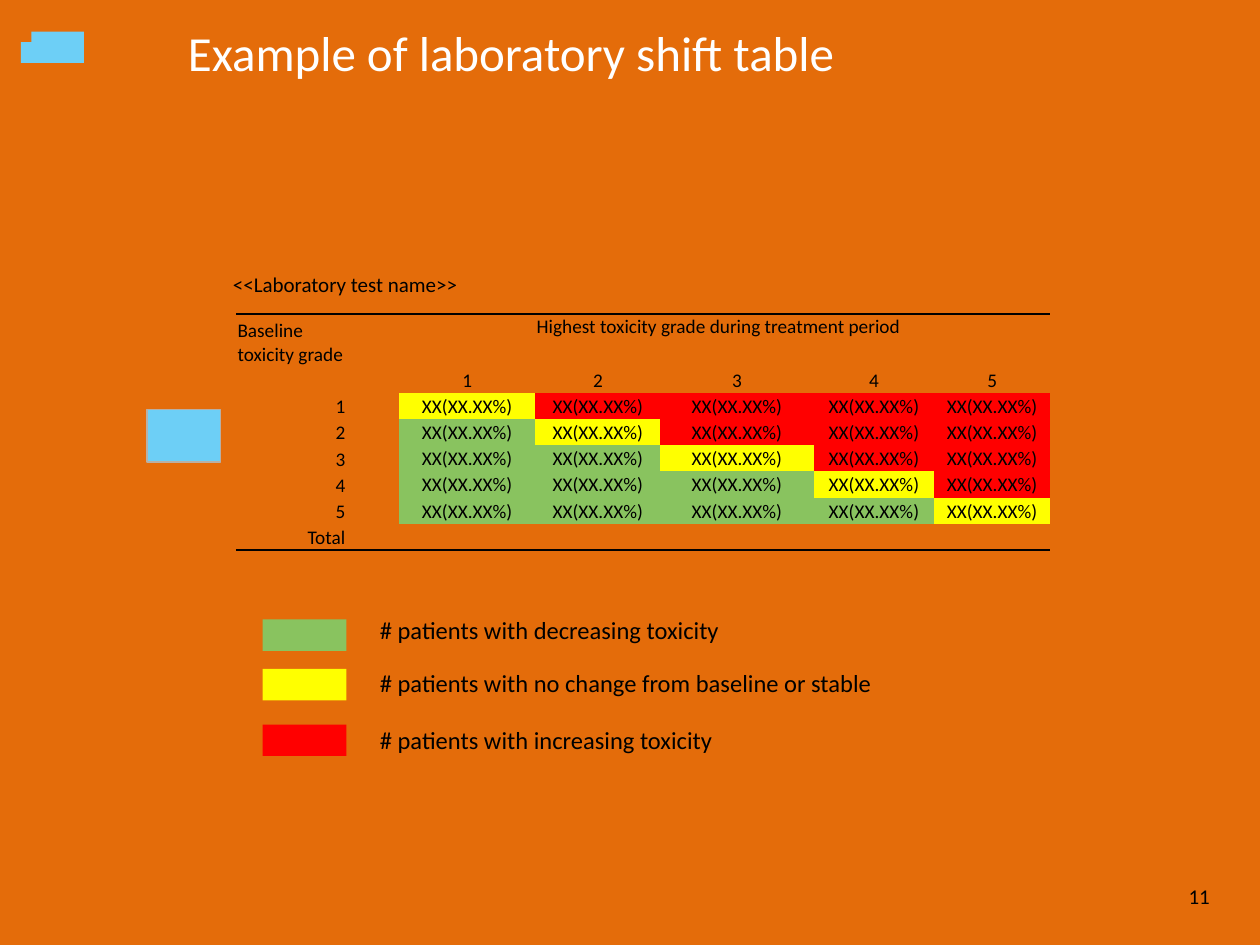
"""Build the laboratory shift table slide."""
import dataclasses

import pptx
import pptx.dml.color
import pptx.enum.shapes
import pptx.enum.text
import pptx.oxml
import pptx.oxml.ns
import pptx.util

ALIGN = pptx.enum.text.PP_ALIGN
ANCHOR = pptx.enum.text.MSO_ANCHOR
AUTO_SIZE = pptx.enum.text.MSO_AUTO_SIZE
NO_STYLE_NO_GRID = "{2D5ABB26-0587-4C30-8999-92F81FD0307C}"


@dataclasses.dataclass(frozen=True)
class Theme:
    font: str = "Calibri"
    background: str = "E46C0A"
    accent: str = "6DCFF6"
    outline: str = "B9AFA4"
    text: str = "000000"
    title: str = "FFFFFF"
    decreasing: str = "89C35F"
    stable: str = "FFFF00"
    increasing: str = "FF0000"
    title_size: int = 28
    legend_size: int = 14
    label_size: int = 12
    table_size: int = 11


def grid(units):
    """Convert grid units, twelve to the inch, to a length."""
    return pptx.util.Inches(units / 12)


def color(value):
    return pptx.dml.color.RGBColor.from_string(value)


class SlideBuilder:
    """Hold the theme and the current slide, and draw elements on it."""

    def __init__(self, presentation, theme):
        self.theme = theme
        self.slide = presentation.slides.add_slide(presentation.slide_layouts[5])
        fill = self.slide.background.fill
        fill.solid()
        fill.fore_color.rgb = color(theme.background)

    def add_run(self, paragraph, text, size, text_color=None, align=ALIGN.LEFT):
        paragraph.alignment = align
        run = paragraph.add_run()
        run.text = text
        run.font.name = self.theme.font
        run.font.size = pptx.util.Pt(size)
        run.font.color.rgb = color(text_color or self.theme.text)

    def title(self, text, box):
        title = self.slide.shapes.title
        title.left, title.top, title.width, title.height = map(grid, box)
        frame = title.text_frame
        frame.auto_size = AUTO_SIZE.NONE
        frame.vertical_anchor = ANCHOR.MIDDLE
        self.add_run(frame.paragraphs[0], text, self.theme.title_size, self.theme.title)

    def text(self, text, box, size, align=ALIGN.LEFT, anchor=ANCHOR.TOP,
             auto_size=AUTO_SIZE.SHAPE_TO_FIT_TEXT):
        frame = self.slide.shapes.add_textbox(*map(grid, box)).text_frame
        frame.word_wrap = True
        frame.auto_size = auto_size
        frame.vertical_anchor = anchor
        self.add_run(frame.paragraphs[0], text, size, align=align)

    def block(self, box, fill, outline=None):
        shape = self.slide.shapes.add_shape(
            pptx.enum.shapes.MSO_SHAPE.RECTANGLE, *map(grid, box))
        shape.shadow.inherit = False
        shape.fill.solid()
        shape.fill.fore_color.rgb = color(fill)
        if outline:
            shape.line.color.rgb = color(outline)
            shape.line.width = pptx.util.Pt(1)
        else:
            shape.line.fill.background()

    def table(self, left, top, columns, rows):
        box = (left, top, sum(columns), sum(rows))
        frame = self.slide.shapes.add_table(len(rows), len(columns), *map(grid, box))
        table = frame.table
        table.first_row = table.horz_banding = False
        properties = table._tbl.tblPr
        properties.find(pptx.oxml.ns.qn("a:tableStyleId")).text = NO_STYLE_NO_GRID
        for column, width in zip(table.columns, columns):
            column.width = grid(width)
        for row, height in zip(table.rows, rows):
            row.height = grid(height)
        for cell in table.iter_cells():
            cell.margin_left = cell.margin_right = cell.margin_top = pptx.util.Inches(0.01)
            cell.margin_bottom = 0
            cell.fill.background()
            end = pptx.oxml.parse_xml(
                f'<a:endParaRPr {pptx.oxml.ns.nsdecls("a")} sz="{self.theme.table_size * 100}"/>')
            cell.text_frame.paragraphs[0]._p.append(end)
        for column in range(len(columns)):
            self.border(table.cell(0, column), "lnT")
            self.border(table.cell(len(rows) - 1, column), "lnB")
        return table

    def border(self, cell, side):
        line = pptx.oxml.parse_xml(
            f'<a:{side} {pptx.oxml.ns.nsdecls("a")} w="12700"><a:solidFill>'
            f'<a:srgbClr val="{self.theme.text}"/></a:solidFill></a:{side}>')
        cell._tc.get_or_add_tcPr().insert(0, line)

    def cell(self, cell, text, align=ALIGN.LEFT, anchor=ANCHOR.BOTTOM, fill=None):
        cell.vertical_anchor = anchor
        self.add_run(cell.text_frame.paragraphs[0], text, self.theme.table_size, align=align)
        if fill:
            cell.fill.solid()
            cell.fill.fore_color.rgb = color(fill)


def add_shift_table(builder):
    theme = builder.theme
    columns = (10.5, 5, 13, 11.9, 14.6, 11.5, 11)
    table = builder.table(22.5, 29.9, columns, [5] + [2.5] * 7)
    table.cell(0, 3).merge(table.cell(0, 6))
    builder.cell(table.cell(0, 0), "Baseline toxicity grade")
    builder.cell(table.cell(0, 3), "Highest toxicity grade during treatment period",
                 anchor=ANCHOR.TOP)
    grades = range(1, 6)
    for baseline in grades:
        builder.cell(table.cell(1, baseline + 1), str(baseline), ALIGN.CENTER)
        builder.cell(table.cell(baseline + 1, 0), str(baseline), ALIGN.RIGHT)
        for highest in grades:
            if highest == baseline:
                fill = theme.stable
            else:
                fill = theme.increasing if highest > baseline else theme.decreasing
            builder.cell(table.cell(baseline + 1, highest + 1), "XX(XX.XX%)",
                         ALIGN.CENTER, ANCHOR.MIDDLE, fill)
    builder.cell(table.cell(7, 0), "Total", ALIGN.RIGHT)


def main():
    presentation = pptx.Presentation()
    presentation.slide_width, presentation.slide_height = grid(120), grid(90)
    theme = Theme()
    builder = SlideBuilder(presentation, theme)
    builder.block((3, 3, 5, 3), theme.accent)
    builder.block((2, 4, 2, 2), theme.accent)
    builder.block((14, 39, 7, 5), theme.accent, theme.outline)
    builder.text("11", (107.6, 83, 8.8, 4.7), theme.label_size, ALIGN.RIGHT,
                 ANCHOR.MIDDLE, AUTO_SIZE.NONE)
    builder.title("Example of laboratory shift table", (16.7, 1.4, 100.2, 7))
    add_shift_table(builder)
    legend = (
        (theme.decreasing, 59, 58, "# patients with decreasing toxicity"),
        (theme.stable, 63.7, 63, "# patients with no change from baseline or stable"),
        (theme.increasing, 69, 68.5, "# patients with increasing toxicity"),
    )
    for fill, swatch_top, text_top, label in legend:
        builder.block((25, swatch_top, 8, 3), fill)
        builder.text(label, (35, text_top, 53.9, 4.1), theme.legend_size)
    builder.text("<<Laboratory test name>>", (21, 25.3, 53.9, 3.6), theme.label_size)
    presentation.save("out.pptx")


if __name__ == "__main__":
    main()
